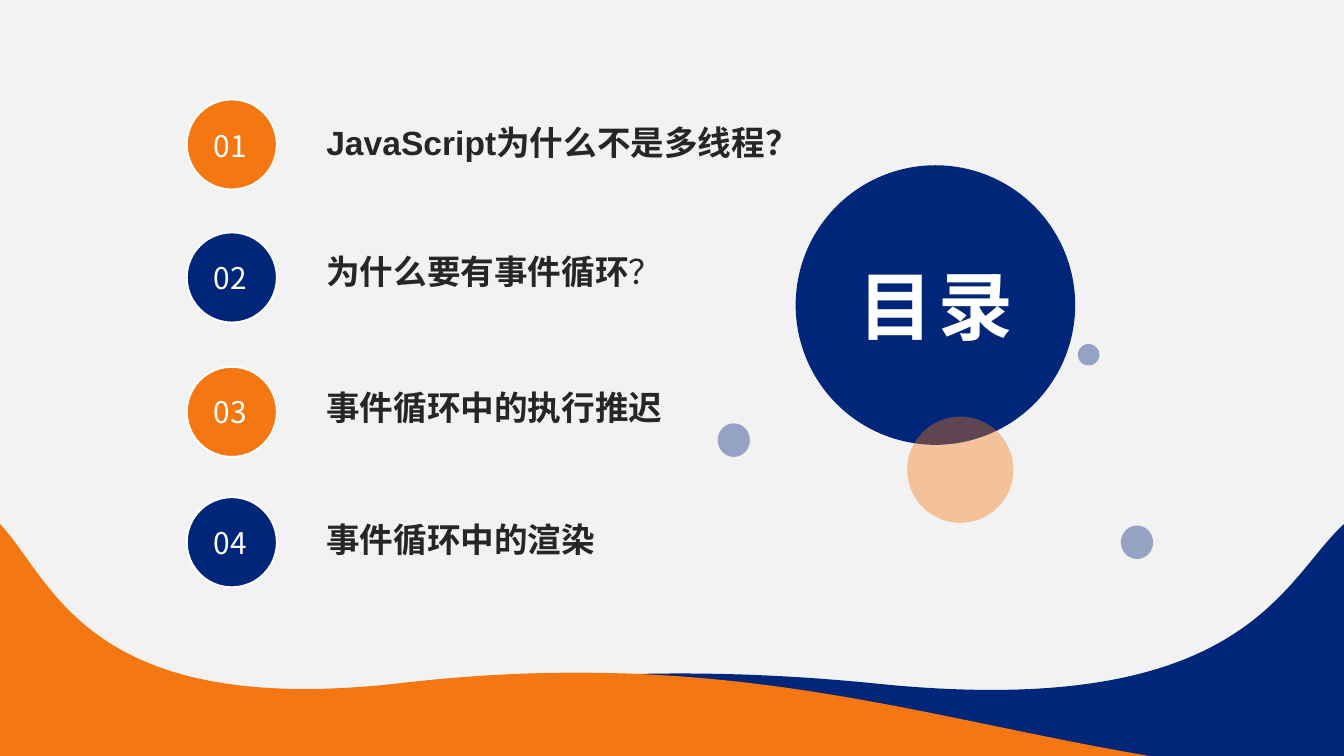
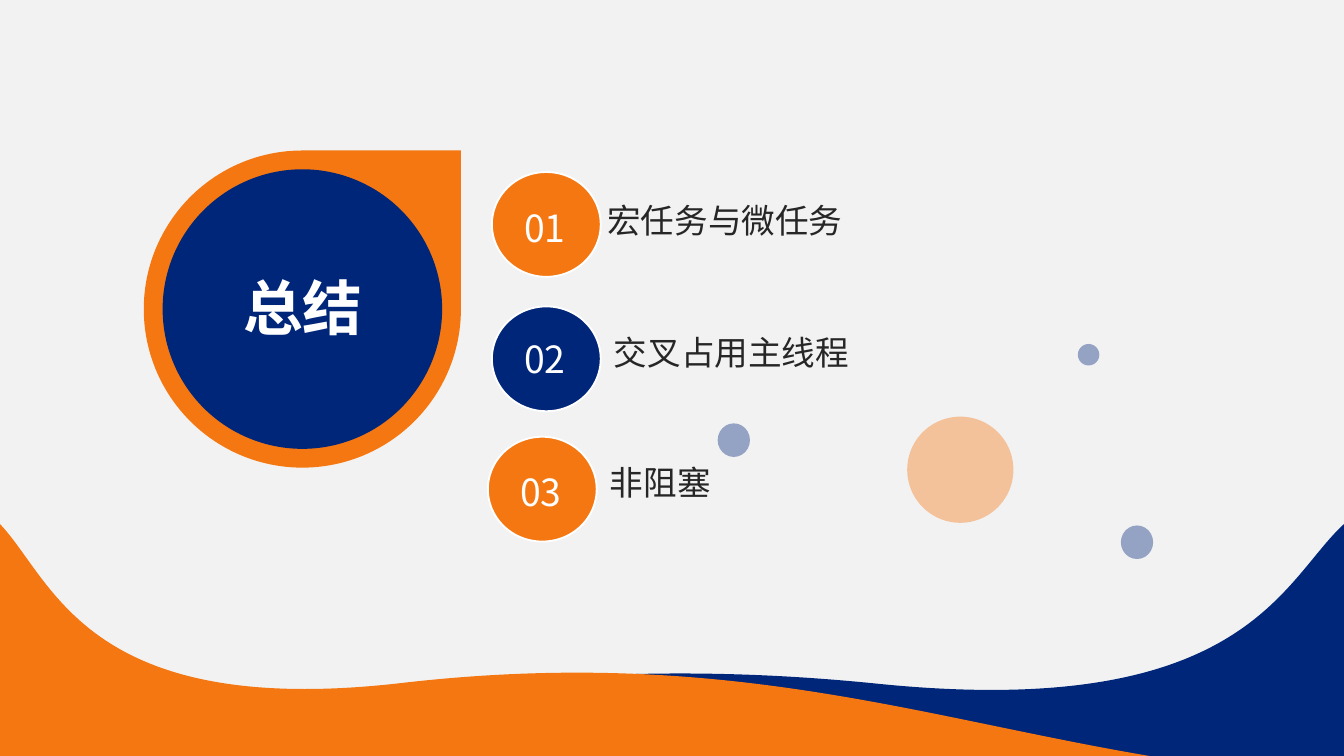
import pptx
import pptx.util
import pptx.dml.color
import pptx.enum.shapes
import pptx.enum.text
import pptx.oxml.ns
import lxml.etree

Inches, Pt = pptx.util.Inches, pptx.util.Pt
SHAPE = pptx.enum.shapes.MSO_SHAPE
ALIGN = pptx.enum.text.PP_ALIGN
ANCHOR = pptx.enum.text.MSO_ANCHOR
qn = pptx.oxml.ns.qn

COLORS = {"paper": "F2F2F2", "navy": "00267A", "orange": "F57711",
          "ink": "262626", "white": "FFFFFF"}
BODY, LATIN, DIGITS = "Calibri", "Arial", "Noto Sans CJK SC"
BOTTOM = 5.63
WAVES = [
    ("navy", (10, 3.9), [((9.54, 4.32), (9.27, 5.36), (6.55, 5.09)),
                         ((3.83, 4.81), (2.16, 5.35), (0.17, BOTTOM))]),
    ("orange", (0, 3.9), [((0.4, 4.32), (0.64, 5.36), (3.01, 5.08)),
                          ((5.39, 4.81), (6.84, 5.34), (8.58, BOTTOM))]),
]
BUBBLES = [("orange", 6.75, 3.1, 0.79, 0.79), ("navy", 5.34, 3.15, 0.24, 0.25),
           ("navy", 8.02, 2.56, 0.16, 0.16), ("navy", 8.34, 3.91, 0.24, 0.25)]


def rgb(name):
    """Return the named colour."""
    return pptx.dml.color.RGBColor.from_string(COLORS[name])


def paint(sp, color, alpha=None, line=None):
    """Give a shape a flat fill, optional opacity and optional outline."""
    sp.shadow.inherit = False
    sp.fill.solid()
    sp.fill.fore_color.rgb = rgb(color)
    if alpha:
        clr = sp.fill._xPr.find(qn("a:solidFill"))[0]
        lxml.etree.SubElement(clr, qn("a:alpha")).set("val", str(alpha * 1000))
    if line:
        sp.line.color.rgb = rgb(line)
        sp.line.width = Pt(1)
    else:
        sp.line.fill.background()


def add_preset(shapes, kind, box, color, **style):
    """Add a painted preset shape."""
    sp = shapes.add_shape(kind, *map(Inches, box))
    paint(sp, color, **style)
    return sp


def style_run(r, size, font, color, bold=False, spacing=None):
    """Format one run, with the same face for Latin and East Asian text."""
    r.font.size, r.font.name, r.font.bold = Pt(size), font, bold
    r.font.color.rgb = rgb(color)
    r.font._rPr.find(qn("a:latin")).addnext(
        r.font._rPr.makeelement(qn("a:ea"), {"typeface": font}))
    if spacing:
        r.font._rPr.set("spc", str(spacing * 100))


def add_text(shapes, box, text, size, font, color, bold=False):
    """Add a wrapped one-paragraph text box and return its frame."""
    tf = shapes.add_textbox(*map(Inches, box)).text_frame
    tf.word_wrap = True
    p = tf.paragraphs[0]
    p.text = text
    p.space_before = Pt(7.5)
    style_run(p.runs[0], size, font, color, bold)
    return tf


def add_wave(s, color, start, curves):
    """Add one bottom wave of cubic curves that falls from a slide edge."""
    anchors = [start] + [curve[-1] for curve in curves]
    fb = s.shapes.build_freeform(Inches(start[0]), Inches(BOTTOM), scale=1.0)
    fb.add_line_segments([(Inches(x), Inches(y)) for x, y in anchors], close=True)
    sp = fb.convert_to_shape()
    paint(sp, color)
    segments = list(sp._element.iter(qn("a:lnTo")))[1:]
    for segment, curve in zip(segments, curves):
        bend = segment.makeelement(qn("a:cubicBezTo"), {})
        for x, y in curve:
            pt = lxml.etree.SubElement(bend, qn("a:pt"))
            pt.set("x", str(Inches(x) - sp.left))
            pt.set("y", str(Inches(y) - sp.top))
        segment.getparent().replace(segment, bend)


def add_bubbles(s):
    """Add the translucent circles."""
    for color, *box in BUBBLES:
        add_preset(s.shapes, SHAPE.OVAL, box, color, alpha=39)


def new_slide(prs):
    """Add a blank slide with the shared background and waves."""
    s = prs.slides.add_slide(prs.slide_layouts[6])
    s.background.fill.solid()
    s.background.fill.fore_color.rgb = rgb("paper")
    for wave in WAVES:
        add_wave(s, *wave)
    return s


def add_badge(s, box, number, label, size):
    """Add a numbered circle; label is the offset and size of its digits."""
    x, y, w, h = box
    dx, dy, lw, lh = label
    shapes = s.shapes.add_group_shape().shapes
    color = "orange" if number % 2 else "navy"
    add_preset(shapes, SHAPE.OVAL, box, color, line="white")
    tf = add_text(shapes, (x + dx, y + dy, lw, lh), f"{number:02d}", size,
                  DIGITS, "white")
    tf.margin_left = tf.margin_right = tf.margin_top = tf.margin_bottom = 0
    tf.vertical_anchor = ANCHOR.MIDDLE
    tf.auto_size = pptx.enum.text.MSO_AUTO_SIZE.SHAPE_TO_FIT_TEXT
    before = tf.paragraphs[0]._p.pPr.find(qn("a:spcBef"))
    before.remove(before[0])
    lxml.etree.SubElement(before, qn("a:spcPct")).set("val", "20000")


def add_contents_title(s, box, text):
    """Add the large circle that holds the contents title."""
    sp = add_preset(s.shapes, SHAPE.OVAL, box, "navy")
    tf = sp.text_frame
    tf.vertical_anchor = ANCHOR.MIDDLE
    p = tf.paragraphs[0]
    p.text = text
    p.alignment = ALIGN.CENTER
    style_run(p.runs[0], 40, BODY, "white", bold=True, spacing=3)


def add_summary_title(s, x, y):
    """Add the teardrop, its inner circle and the summary title."""
    shapes = s.shapes.add_group_shape().shapes
    add_preset(shapes, SHAPE.TEAR, (x, y, 2.36, 2.36), "orange")
    add_preset(shapes, SHAPE.OVAL, (x + 0.14, y + 0.14, 2.08, 2.08), "navy")
    tf = add_text(shapes, (x - 0.32, y + 0.95, 3.01, 0.67), "总结", 32, BODY,
                  "white", bold=True)
    tf.paragraphs[0].alignment = ALIGN.CENTER
    tf.paragraphs[0].line_spacing = 0.8


def contents_slide(prs):
    """Build the table of contents."""
    s = new_slide(prs)
    add_contents_title(s, (5.92, 1.23, 2.08, 2.08), "目录")
    add_bubbles(s)
    items = [(0.74, 0.21, 0.86, 3.5, 0.48, "JavaScript为什么不是多线程？", LATIN),
             (1.73, 0.2, 1.82, 2.66, 0.45, "为什么要有事件循环", BODY),
             (2.73, 0.2, 2.83, 2.73, 0.42, "事件循环中的执行推迟", BODY),
             (3.7, 0.2, 3.81, 2.33, 0.44, "事件循环中的渲染", BODY)]
    for number, (top, dy, y, w, h, text, font) in enumerate(items, 1):
        add_badge(s, (1.39, top, 0.67, 0.67), number, (0.2, dy, 0.27, 0.27), 16)
        tf = add_text(s.shapes, (2.33, y, w, h), text, 18, font, "ink", bold=True)
        if number == 2:
            r = tf.paragraphs[0].add_run()
            r.text = "？"
            style_run(r, 18, BODY, "ink")


def summary_slide(prs):
    """Build the summary."""
    s = new_slide(prs)
    add_bubbles(s)
    add_summary_title(s, 1.07, 1.12)
    items = [(3.66, 1.28, 0.24, 4.42, 1.44, "宏任务与微任务"),
             (3.66, 2.28, 0.22, 4.47, 2.42, "交叉占用主线程"),
             (3.63, 3.25, 0.24, 4.44, 3.39, "非阻塞")]
    for number, (left, top, dy, x, y, text) in enumerate(items, 1):
        add_badge(s, (left, top, 0.81, 0.78), number, (0.24, dy, 0.33, 0.34), 20)
    for left, top, dy, x, y, text in items:
        add_text(s.shapes, (x, y, 3.5, 0.48), text, 18, BODY, "ink")


def main():
    """Build and save the presentation."""
    prs = pptx.Presentation()
    prs.slide_width = Inches(10)
    prs.slide_height = prs.slide_width * 9 // 16
    contents_slide(prs)
    summary_slide(prs)
    prs.save("out.pptx")


main()
